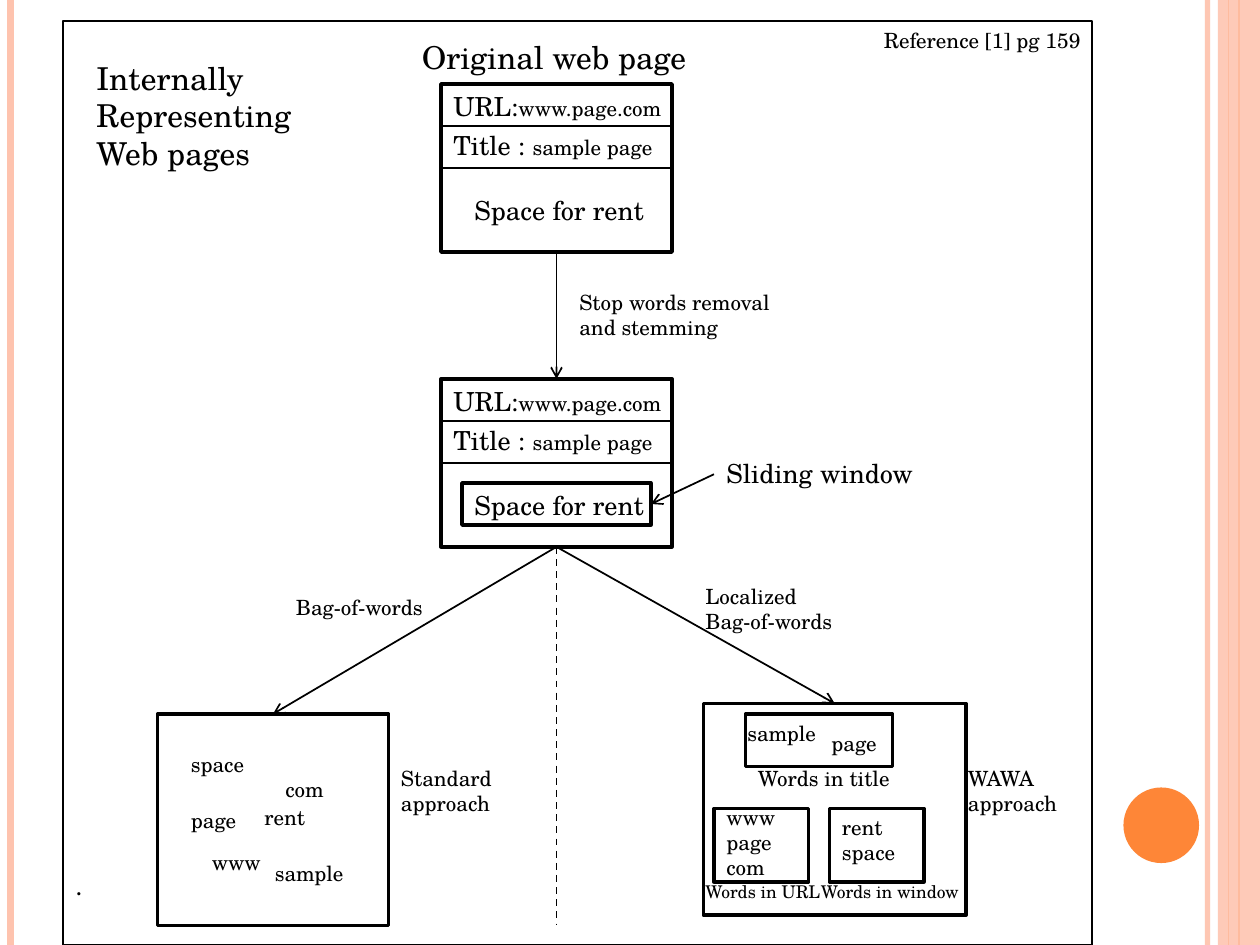
import pptx
import pptx.util
import pptx.dml.color
import pptx.enum.dml
import pptx.enum.shapes
import pptx.enum.text
import pptx.oxml.ns
import lxml.etree

Pt = pptx.util.Pt
SHAPE = pptx.enum.shapes.MSO_SHAPE
FONT = "TeX Gyre Schola"
COLORS = {"ink": "000000", "peach": "FEC3AE", "orange": "FE8637"}
TOP, LEFT, BOTTOM, RIGHT = range(4)

STRIPES = [
    (690, "peach", 3, 93),
    (6, "peach", 4.5, 100),
    (708, "orange", 1.5, 100),
    (702, "orange", 0.75, 100),
]
PAGE_LEFT, PAGE_W, PAGE_H, ROW_H = 252, 132, 96, 24
PAGE_TOPS = [48, 216.5]
PAGE_ROWS = [
    (0, [("URL:", 15), ("www.page.com", 12)]),
    (22.3, [("Title : ", 15), ("sample page", 12)]),
]
BOXES = {
    "standard": (90, 408, 132, 121),
    "wawa": (402, 402, 150, 121),
    "window": (264, 276, 108, 24),
    "title words": (426, 408, 84, 30),
    "url words": (408, 462, 54, 42),
    "window words": (474, 462, 54, 42),
}
LABELS = [
    (["Original web page"], 234, 18, 174, 29, 18),
    (["Internally", "Representing", "Web pages"], 48, 30, 132, 73, 18),
    (["Reference [1] pg 159"], 498, 12, 174, 22, 12),
    (["Sliding window"], 408, 258, 132, 25, 15),
    (["Stop words removal and stemming"], 324, 162, 144, 36, 12),
    (["Bag-of-words"], 162, 336, 90, 22, 12),
    (["Localized Bag-of-words"], 396, 330, 90, 36, 12),
    (["Standard approach"], 222, 434, 90, 36, 12),
    (["WAWA approach"], 546, 434, 90, 36, 12),
    (["Words in title"], 426, 434, 96, 22, 12),
    (["Words in URL"], 396, 500, 96, 19, 10),
    (["Words in window"], 462, 500, 96, 19, 10),
    (["www", "page", "com"], 408, 456, 66, 51, 12),
    (["rent", "space"], 474, 462, 66, 36, 12),
]
LOOSE_WORDS = [
    ("space", 102, 426), ("com", 156, 440), ("page", 102, 458),
    ("rent", 144, 456), ("www", 114, 482), ("sample", 150, 488),
    ("sample", 420, 408), ("page", 468, 414),
]

prs = pptx.Presentation()
prs.slide_width, prs.slide_height = Pt(720), Pt(540)
slide = prs.slides.add_slide(prs.slide_layouts[6])


def rgb(name):
    return pptx.dml.color.RGBColor.from_string(COLORS[name])


def add_xml(parent, tag, **attrs):
    return lxml.etree.SubElement(parent, pptx.oxml.ns.qn(tag), attrs)


def set_alpha(fill, percent):
    color = fill._xPr.find(".//" + pptx.oxml.ns.qn("a:srgbClr"))
    add_xml(color, "a:alpha", val=str(percent * 1000))


def add_shape(kind, box, fill=None, line=None):
    sp = slide.shapes.add_shape(kind, *map(Pt, box))
    sp.shadow.inherit = False
    if fill:
        sp.fill.solid()
        sp.fill.fore_color.rgb = rgb(fill)
    else:
        sp.fill.background()
    if line:
        sp.line.color.rgb = rgb("ink")
        sp.line.width = Pt(line)
    else:
        sp.line.fill.background()
    return sp


def add_line(x1, y1, x2, y2, color="ink", width=1, arrow=False):
    cn = slide.shapes.add_connector(
        pptx.enum.shapes.MSO_CONNECTOR.STRAIGHT, *map(Pt, (x1, y1, x2, y2)))
    cn.line.color.rgb = rgb(color)
    cn.line.width = Pt(width)
    if arrow:
        add_xml(cn.line._get_or_add_ln(), "a:tailEnd", type="arrow")
    add_xml(cn._element.spPr, "a:effectLst")
    return cn


def add_text(paragraphs, x, y, w, h, size=12):
    sp = slide.shapes.add_textbox(*map(Pt, (x, y, w, h)))
    tf = sp.text_frame
    tf.word_wrap = True
    for i, runs in enumerate(paragraphs):
        p = tf.paragraphs[0] if i == 0 else tf.add_paragraph()
        p.font.name, p.font.size = FONT, Pt(size)
        p.font.color.rgb = rgb("ink")
        if isinstance(runs, str):
            runs = [(runs, None)]
        for text, run_size in runs:
            r = p.add_run()
            r.text = text
            if run_size:
                r.font.size = Pt(run_size)


for x, color, width, alpha in STRIPES:
    stripe = add_line(x, 0, x, 540, color, width)
    if alpha < 100:
        set_alpha(stripe.line.fill, alpha)
band = add_shape(SHAPE.RECTANGLE, (696, 0, 24, 540), fill="peach")
set_alpha(band.fill, 87)
add_shape(SHAPE.OVAL, (642, 450, 43.2, 43.2), fill="orange")

frame = add_shape(SHAPE.RECTANGLE, (36, 12, 588, 528), line=0.75)
tf = frame.text_frame
tf.vertical_anchor = pptx.enum.text.MSO_ANCHOR.BOTTOM
tf.margin_bottom = Pt(25)
p = tf.paragraphs[0]
p.text = "."
p.alignment = pptx.enum.text.PP_ALIGN.LEFT
p.font.name, p.font.size = FONT, Pt(15)
p.font.color.rgb = rgb("ink")

pages = []
for top in PAGE_TOPS:
    pages.append(add_shape(SHAPE.RECTANGLE, (PAGE_LEFT, top, PAGE_W, PAGE_H), line=2))
    for n in (1, 2):
        y = top + n * ROW_H
        add_line(PAGE_LEFT, y, PAGE_LEFT + PAGE_W, y)
    for offset, runs in PAGE_ROWS:
        add_text([runs], PAGE_LEFT, top + offset, 186, 25)
    add_text(["Space for rent"], PAGE_LEFT + 12, top + 59.7, 114, 25, 15)

boxes = {name: add_shape(SHAPE.RECTANGLE, box, line=2) for name, box in BOXES.items()}

original, stemmed = pages
for start, end in [(original, stemmed), (stemmed, boxes["standard"]), (stemmed, boxes["wawa"])]:
    arrow = add_line(0, 0, 0, 0, arrow=True)
    arrow.begin_connect(start, BOTTOM)
    arrow.end_connect(end, TOP)
pointer = add_line(408, 271, 372, 288, arrow=True)
pointer.end_connect(boxes["window"], RIGHT)
middle = PAGE_LEFT + PAGE_W / 2
divider = add_line(middle, PAGE_TOPS[1] + PAGE_H, middle, 528)
divider.line.dash_style = pptx.enum.dml.MSO_LINE.DASH
divider.begin_connect(stemmed, BOTTOM)

for label in LABELS:
    add_text(*label)
for word, x, y in LOOSE_WORDS:
    add_text([word], x, y, 66, 22)

prs.save("out.pptx")
